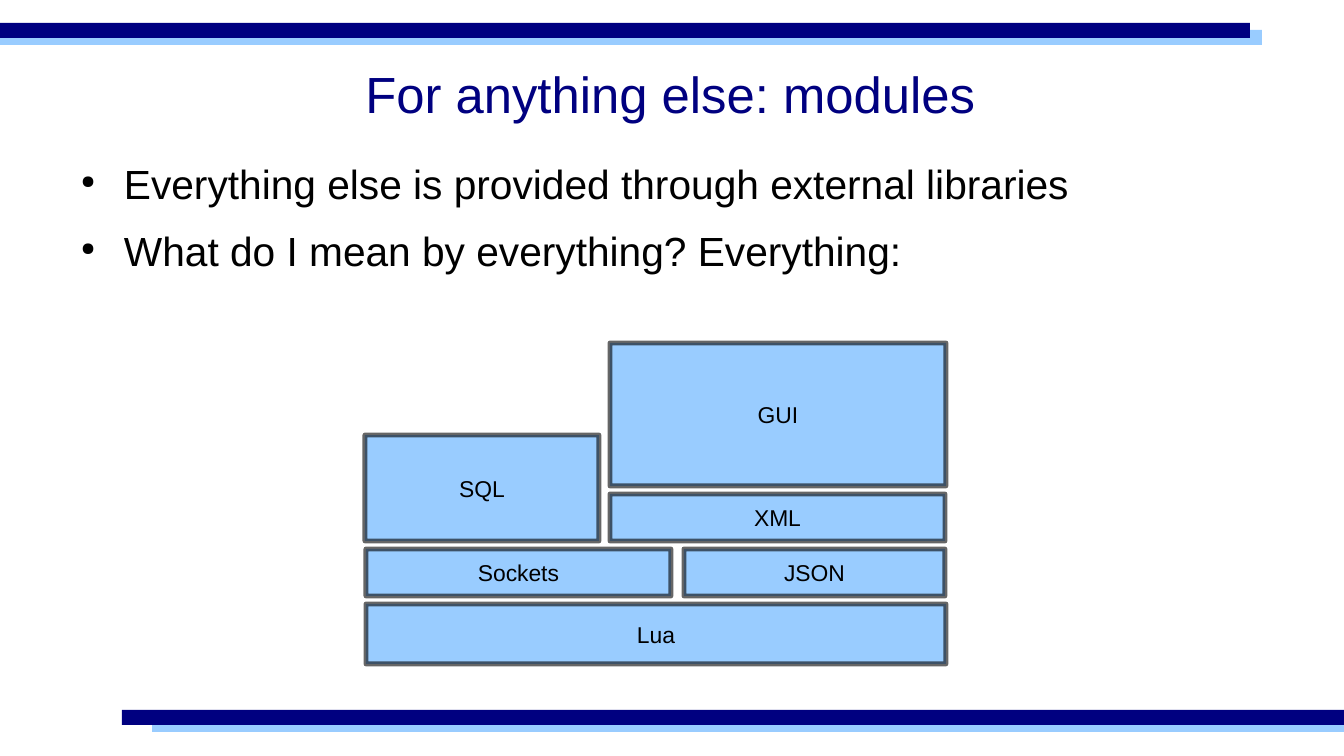
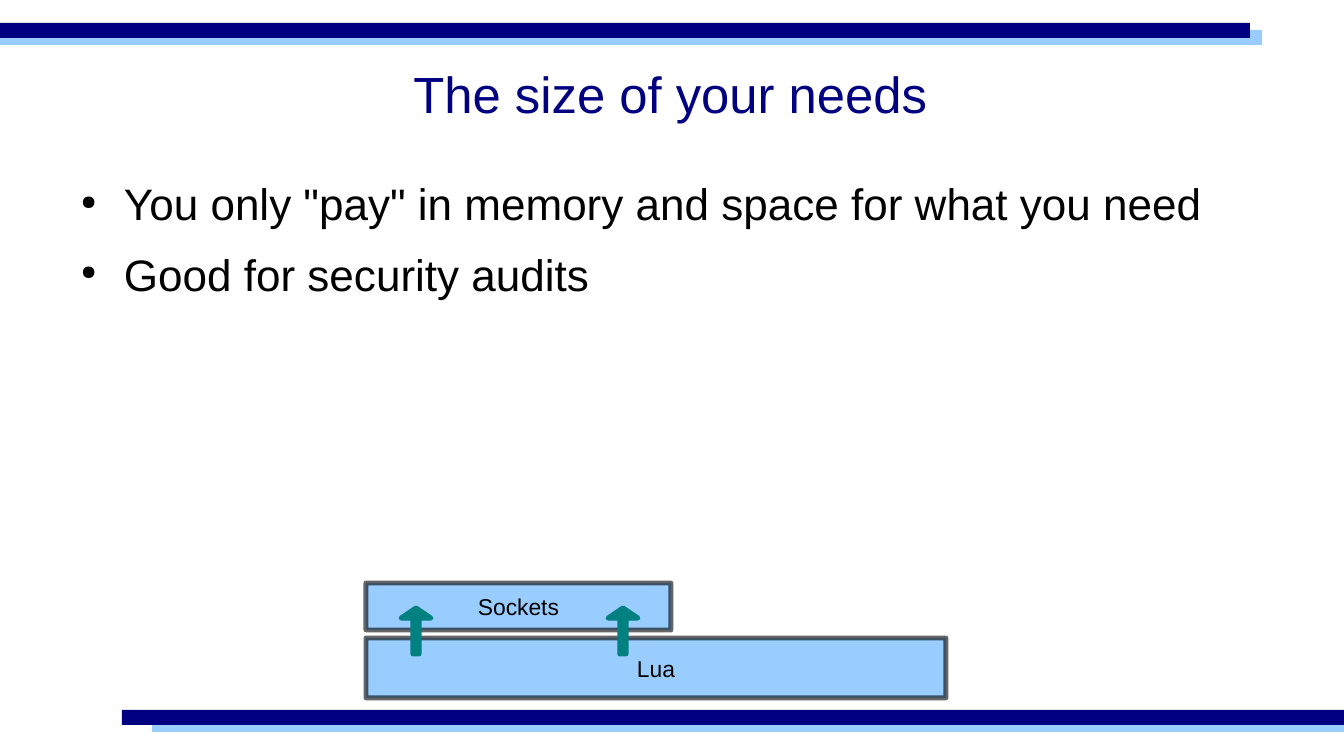
from lxml import etree
from pptx import Presentation
from pptx.dml.color import RGBColor
from pptx.enum.shapes import MSO_SHAPE
from pptx.enum.text import MSO_ANCHOR, PP_ALIGN
from pptx.oxml.ns import qn
from pptx.util import Pt

RECT, UP_ARROW = MSO_SHAPE.RECTANGLE, MSO_SHAPE.UP_ARROW
TOP, MIDDLE = MSO_ANCHOR.TOP, MSO_ANCHOR.MIDDLE
LEFT, CENTER = PP_ALIGN.LEFT, PP_ALIGN.CENTER

PX = 914400 / 122
W, H = 1344, 756
FONT = "Arial"
NAVY, SKY, TEAL, BLACK = "000080", "99CCFF", "008080", "000000"
LINE_PT = 2.89
GAP = 8

BANDS = [
    (0, 30, 1262, SKY),
    (0, 23, 1250, NAVY),
    (152, 717, W - 152, SKY),
    (122, 710, W - 122, NAVY),
]
BAND_H = 15

# name: left, width, height, block it rests on
BLOCKS = {
    "Lua": (366, 580, 60, None),
    "Sockets": (366, 305, 47, "Lua"),
    "JSON": (684, 261, 47, "Lua"),
    "XML": (610, 335, 47, "JSON"),
    "SQL": (365, 234, 106, "Sockets"),
    "GUI": (610, 336, 143, "XML"),
}

SLIDES = [
    {
        "title": "For anything else: modules",
        "bullets": [
            "Everything else is provided through external libraries",
            "What do I mean by everything? Everything:",
        ],
        "body_top": 159,
        "body_size": 24,
        "blocks": list(BLOCKS),
        "floor": 664,
        "arrows": [],
    },
    {
        "title": "The size of your needs",
        "bullets": [
            'You only "pay" in memory and space for what you need',
            "Good for security audits",
        ],
        "body_top": 177,
        "body_size": 26,
        "blocks": ["Lua", "Sockets"],
        "floor": 698,
        "arrows": [608, 401],
    },
]


def px(n):
    return round(n * PX)


def rgb(color):
    return RGBColor.from_string(color)


def add_bullet(p):
    pPr = p._p.get_or_add_pPr()
    pPr.set("marL", str(px(57)))
    pPr.set("indent", str(-px(43)))
    color = etree.SubElement(pPr, qn("a:buClr"))
    etree.SubElement(color, qn("a:srgbClr"), val=BLACK)
    etree.SubElement(pPr, qn("a:buSzPct"), val="45000")
    etree.SubElement(pPr, qn("a:buChar"), char="●")


def write(sp, lines, size, color=BLACK, align=CENTER, anchor=MIDDLE,
          inset=(0, 0), bullets=False, after=0):
    tf = sp.text_frame
    tf.word_wrap = True
    tf.vertical_anchor = anchor
    tf.margin_left = tf.margin_right = px(inset[0])
    tf.margin_top = tf.margin_bottom = px(inset[1])
    for i, line in enumerate(lines):
        p = tf.add_paragraph() if i else tf.paragraphs[0]
        p.alignment = align
        p.space_after = Pt(after)
        if bullets:
            add_bullet(p)
        r = p.add_run()
        r.text = line
        r.font.name = FONT
        r.font.size = Pt(size)
        r.font.color.rgb = rgb(color)


def add_shape(s, kind, x, y, w, h, fill, line=None, alpha=100):
    sp = s.shapes.add_shape(kind, px(x), px(y), px(w), px(h))
    sp.shadow.inherit = False
    sp.fill.solid()
    sp.fill.fore_color.rgb = rgb(fill)
    if line is None:
        sp.line.fill.background()
        return sp
    sp.line.color.rgb = rgb(line)
    sp.line.width = Pt(LINE_PT)
    ln = sp.line._get_or_add_ln()
    etree.SubElement(ln, qn("a:round"))
    if alpha < 100:
        color = ln.find(".//" + qn("a:srgbClr"))
        etree.SubElement(color, qn("a:alpha"), val=str(alpha * 1000))
    return sp


def add_text(s, x, y, w, h, lines, size, **fmt):
    sp = s.shapes.add_textbox(px(x), px(y), px(w), px(h))
    write(sp, lines, size, **fmt)


def add_stack(s, names, floor):
    tops = {None: floor + GAP}
    for name in names:
        x, w, h, support = BLOCKS[name]
        tops[name] = tops[support] - GAP - h
        sp = add_shape(s, RECT, x, tops[name], w, h, SKY, line=BLACK, alpha=60)
        write(sp, [name], 13.5, inset=(15, 9))
    return tops


def add_arrow(s, x, y):
    sp = add_shape(s, UP_ARROW, x, y, 30, 46, TEAL, line=TEAL)
    sp.adjustments[0] = 0.21
    sp.adjustments[1] = 0.34


def build_slide(prs, content):
    s = prs.slides.add_slide(prs.slide_layouts[6])
    for x, y, w, color in BANDS:
        add_shape(s, RECT, x, y, w, BAND_H, color)
    add_text(s, 30, 30, 1281, 127, [content["title"]], 30, color=NAVY)
    add_text(s, 67, content["body_top"], 1210, 439, content["bullets"],
             content["body_size"], align=LEFT, anchor=TOP, bullets=True, after=10.6)
    tops = add_stack(s, content["blocks"], content["floor"])
    for x in content["arrows"]:
        add_arrow(s, x, tops["Lua"] - 30)


def main():
    prs = Presentation()
    prs.slide_width, prs.slide_height = px(W), px(H)
    for content in SLIDES:
        build_slide(prs, content)
    prs.save("out.pptx")


if __name__ == "__main__":
    main()
